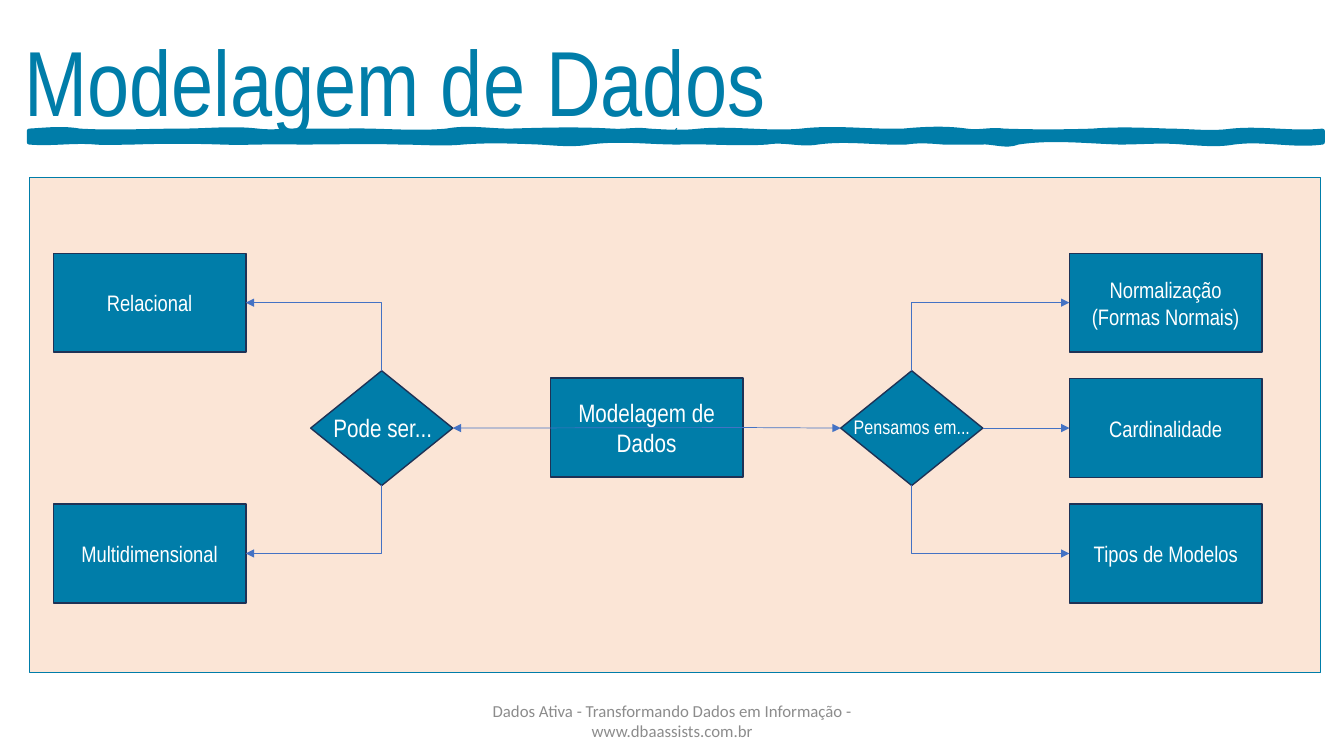
from lxml.etree import SubElement
from pptx import Presentation
from pptx.dml.color import RGBColor
from pptx.enum.shapes import MSO_CONNECTOR, MSO_SHAPE
from pptx.enum.text import MSO_ANCHOR, MSO_AUTO_SIZE, PP_ALIGN
from pptx.oxml.ns import qn
from pptx.util import Pt

COLORS = {
    "blue": "007DA9",
    "navy": "1E3256",
    "peach": "FBE5D6",
    "arrow": "4472C4",
    "gray": "8C8C8C",
    "white": "FFFFFF",
}
NARROW = "Arial Narrow"
TOP, LEFT, BOTTOM, RIGHT = range(4)  # connection sites
BOX_SIZE = (137.5, 70.6)
DIAMOND_SIZE = (101.5, 82)

# Brush edges: end of each curve (inches), then the bend of its two handles (1/100 inch)
BRUSH_TOP = [
    (0.79, -1, -3), (1.8, 2, 0), (2.56, 0, -3), (3.05, 2, -1), (3.42, 0, 0),
    (4.43, -1, 3), (5.06, -4, 0), (6.07, -1, -2), (6.44, 1, -2), (6.94, 1, 2),
    (7.95, -3, 3), (8.96, -4, 1), (9.59, -2, -3), (9.96, 2, -2), (10.84, 1, 1),
    (11.59, -2, -1), (12.22, 0, 3), (13.12, -3, 3),
]
BRUSH_BOTTOM = [
    (12.24, 4, -4), (11.74, 3, 1), (11.11, -2, 0), (10.1, -1, -5), (9.73, 5, -1),
    (9.36, 0, 0), (8.99, -1, -2), (8.11, 1, -4), (7.61, 3, -3), (6.73, 2, -1),
    (5.85, 0, -4), (5.35, 3, 1), (4.59, -1, -2), (3.97, 2, 0), (2.96, -1, 0),
    (2.2, -1, 1), (1.32, -1, -1), (0.95, 0, 1), (0.29, -2, 2),
]


def rgb(name):
    return RGBColor.from_string(COLORS[name])


def paint(shape, fill, line, width):
    shape.shadow.inherit = False
    shape.fill.solid()
    shape.fill.fore_color.rgb = rgb(fill)
    shape.line.color.rgb = rgb(line)
    shape.line.width = Pt(width)


def write(shape, lines, size, color, font=NARROW, align=PP_ALIGN.CENTER, **frame_format):
    frame = shape.text_frame
    settings = {"word_wrap": True, "auto_size": MSO_AUTO_SIZE.NONE,
                "vertical_anchor": MSO_ANCHOR.MIDDLE, **frame_format}
    for name, value in settings.items():
        setattr(frame, name, value)
    frame.text = lines
    for para in frame.paragraphs:
        para.alignment = align
        for span in para.runs:
            for name, value in {"size": Pt(size), "name": font}.items():
                setattr(span.font, name, value)
            span.font.color.rgb = rgb(color)


def add_node(page, kind, left, top, size):
    node = page.shapes.add_shape(kind, Pt(left), Pt(top), *map(Pt, size))
    paint(node, "blue", "navy", 1)
    return node


def add_box(page, left, top, lines, size=16):
    box = add_node(page, MSO_SHAPE.RECTANGLE, left, top, BOX_SIZE)
    write(box, lines, size, "white")
    return box


def add_label(page, left, top, width, height, text, size):
    label = page.shapes.add_textbox(*map(Pt, (left, top, width, height)))
    write(label, text, size, "white", align=PP_ALIGN.LEFT, word_wrap=False,
          vertical_anchor=MSO_ANCHOR.TOP)


def add_arrow(page, start, start_site, end, end_site, bent=False):
    """Point at the end node; a bent arrow leaves it sideways and turns once."""
    kind = MSO_CONNECTOR.ELBOW if bent else MSO_CONNECTOR.STRAIGHT
    arrow = page.shapes.add_connector(kind, 0, 0, 0, 0)
    if bent:
        arrow._element.spPr.find(qn("a:prstGeom")).set("prst", "bentConnector2")
        arrow.begin_connect(end, end_site)
        arrow.end_connect(start, start_site)
    else:
        arrow.begin_connect(start, start_site)
        arrow.end_connect(end, end_site)
    arrow.line.color.rgb = rgb("arrow")
    arrow.line.width = Pt(0.5)
    tip = "a:headEnd" if bent else "a:tailEnd"
    SubElement(arrow.line._get_or_add_ln(), qn(tip), type="triangle")
    SubElement(arrow._element.spPr, qn("a:effectLst"))


def add_title(page, left, top, width, height):
    title = page.shapes.title
    title.left, title.top, title.width, title.height = map(Pt, (left, top, width, height))
    write(title, "Modelagem de Dados", 66, "blue", align=PP_ALIGN.LEFT,
          vertical_anchor=MSO_ANCHOR.TOP)


def add_brush_rule(page, left, top, height):
    points, handles = [(Pt(left), Pt(top))], []
    for edge, base in ((BRUSH_TOP, 0), (BRUSH_BOTTOM, height)):
        if base:  # right end, straight down
            points.append((points[-1][0], Pt(top + base)))
            handles.append(None)
        for end, bend_out, bend_in in edge:
            start_x, end_x = points[-1][0] - Pt(left), Pt(end * 72 - left)
            handles.append([(start_x + (end_x - start_x) * part // 3, Pt(base + bend * 0.72))
                            for part, bend in ((1, bend_out), (2, bend_in))])
            points.append((Pt(end * 72), Pt(top + base)))
    builder = page.shapes.build_freeform(*points[0])
    builder.add_line_segments(points[1:], close=True)
    brush = builder.convert_to_shape()

    # Turn the straight segments into curves
    for segment, pair in zip(list(brush._element.iter(qn("a:lnTo"))), handles):
        if pair:
            segment.tag = qn("a:cubicBezTo")
            for index, (x, y) in enumerate(pair):
                handle = SubElement(segment, qn("a:pt"), x=str(x), y=str(y))
                segment.insert(index, handle)
    paint(brush, "blue", "blue", 3.5)
    write(brush, "‘", 18, "blue", font="Calibri")


def add_diagram(page, left, top, width, height):
    panel = page.shapes.add_shape(MSO_SHAPE.RECTANGLE, *map(Pt, (left, top, width, height)))
    paint(panel, "peach", "blue", 1)
    rows = [top + 54.2 + 89.6 * row for row in range(3)]
    middle = rows[1] + BOX_SIZE[1] / 2
    diamond_top = middle - DIAMOND_SIZE[1] / 2

    # Central topic and its two questions
    topic = add_box(page, left + 372.2, rows[1] - 0.4, "Modelagem de Dados", 18)
    kinds = add_node(page, MSO_SHAPE.DIAMOND, left + 201, diamond_top, DIAMOND_SIZE)
    aspects = add_node(page, MSO_SHAPE.DIAMOND, left + 579.6, diamond_top, DIAMOND_SIZE)
    add_arrow(page, topic, RIGHT, kinds, RIGHT)
    add_arrow(page, topic, RIGHT, aspects, LEFT)

    # Answers on the left
    for row, site, text in ((0, TOP, "Relacional"), (2, BOTTOM, "Multidimensional")):
        box = add_box(page, left + 17.2, rows[row], text)
        add_arrow(page, kinds, site, box, RIGHT, bent=True)

    # Answers on the right
    answers = ((TOP, "Normalização\n(Formas Normais)"), (RIGHT, "Cardinalidade"),
               (BOTTOM, "Tipos de Modelos"))
    for row_top, (site, text) in zip(rows, answers):
        box = add_box(page, left + 743, row_top, text)
        add_arrow(page, aspects, site, box, LEFT, bent=site != RIGHT)

    # Questions over the diamonds
    add_label(page, left + 210.2, middle - 14.8, 88.6, 28.8, "Pode ser...", 18)
    add_label(page, left + 581.8, middle - 12.8, 103, 24.5, "Pensamos em...", 14)


def add_footer(page, left, top, width, height):
    footer = page.shapes.add_textbox(*map(Pt, (left, top, width, height)))
    write(footer, "Dados Ativa - Transformando Dados em Informação - www.dbaassists.com.br",
          12, "gray", font="Calibri")


def main():
    deck = Presentation()
    deck.slide_width, deck.slide_height = Pt(960), Pt(540)
    page = deck.slides.add_slide(deck.slide_layouts[5])
    add_title(page, 10, 13.4, 826, 87)
    add_diagram(page, 20.9, 126.7, 922.3, 353.5)
    add_brush_rule(page, 20.9, 93.6, 7.9)
    add_footer(page, 318.2, 500.4, 324, 28.8)
    deck.save("out.pptx")


if __name__ == "__main__":
    main()
